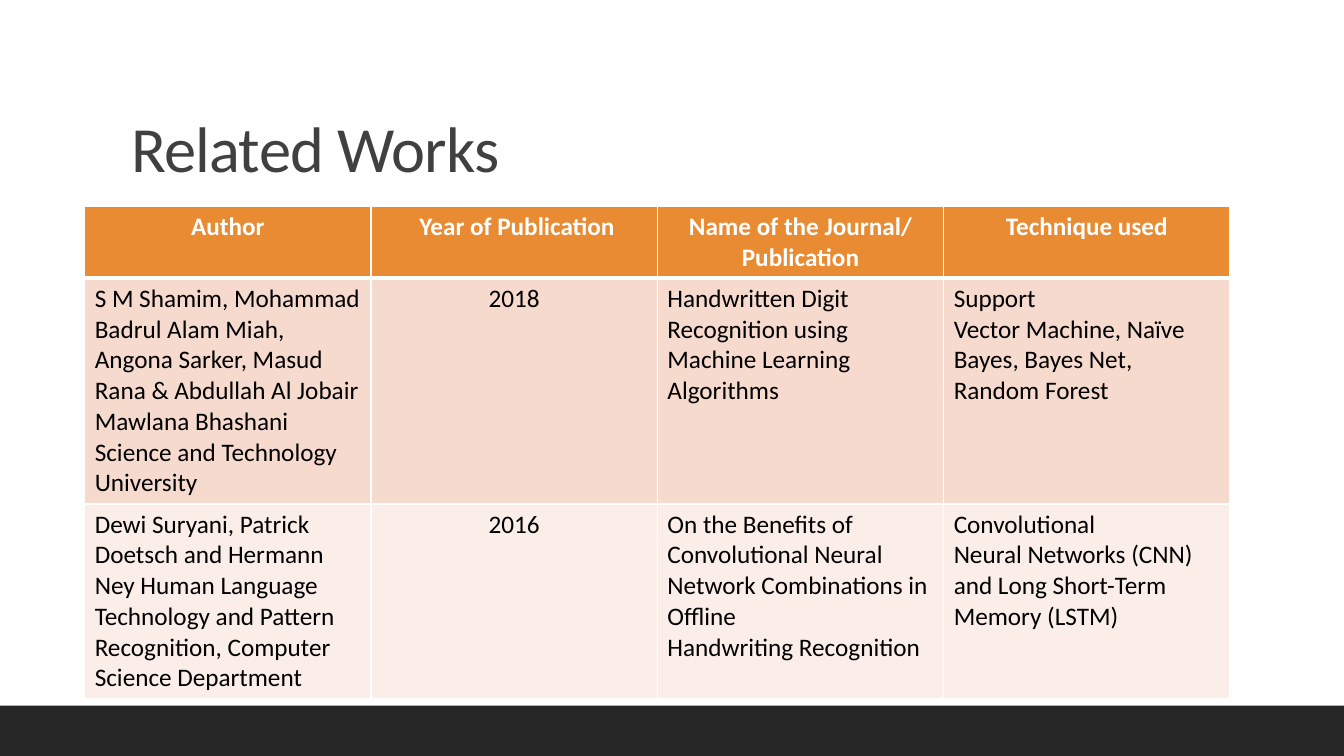
from dataclasses import dataclass

from lxml.etree import SubElement
from pptx import Presentation
from pptx.dml.color import RGBColor
from pptx.enum.shapes import MSO_SHAPE
from pptx.enum.text import MSO_ANCHOR, MSO_AUTO_SIZE, PP_ALIGN
from pptx.oxml.ns import qn
from pptx.util import Inches, Pt

FONT = "Calibri"
WHITE = "FFFFFF"


@dataclass
class TableRow:
    height: float
    fill: str
    color: str
    bold: bool
    top: int
    bottom: int
    cells: list[str]


def rgb(value: str) -> RGBColor:
    return RGBColor.from_string(value)


def add_borders(cell, top: int, bottom: int) -> None:
    """Give a cell white borders; widths are in points."""
    tc_pr = cell._tc.get_or_add_tcPr()
    for i, (side, width) in enumerate((("L", 1), ("R", 1), ("T", top), ("B", bottom))):
        ln = SubElement(tc_pr, qn(f"a:ln{side}"), w=str(Pt(width)))
        SubElement(SubElement(ln, qn("a:solidFill")), qn("a:srgbClr"), val=WHITE)
        tc_pr.insert(i, ln)


def fill_cell(cell, text: str, row: TableRow, centered: bool) -> None:
    cell.fill.solid()
    cell.fill.fore_color.rgb = rgb(row.fill)
    add_borders(cell, row.top, row.bottom)
    cell.text = text
    for p in cell.text_frame.paragraphs:
        p.alignment = PP_ALIGN.CENTER if centered else PP_ALIGN.LEFT
        p.font.name, p.font.size, p.font.bold = FONT, Pt(18), row.bold
        p.font.color.rgb = rgb(row.color)


ROWS = [
    TableRow(0.7, "E88B33", WHITE, True, 1, 3, [
        "Author", " Year of Publication", "Name of the Journal/ Publication", "Technique used"]),
    TableRow(2.24, "F6DACE", "000000", False, 3, 1, [
        "S M Shamim, Mohammad Badrul Alam Miah, Angona Sarker, Masud Rana & Abdullah Al Jobair\n"
        "Mawlana Bhashani Science and Technology University",
        "2018",
        "Handwritten Digit Recognition using Machine Learning Algorithms",
        "Support \nVector Machine, Naïve Bayes, Bayes Net, Random Forest"]),
    TableRow(1.93, "FBEEE8", "000000", False, 1, 1, [
        "Dewi Suryani, Patrick Doetsch and Hermann Ney Human Language Technology "
        "and Pattern Recognition, Computer Science Department",
        "2016",
        "On the Benefits of Convolutional Neural Network Combinations in Offline\n"
        "Handwriting Recognition",
        "Convolutional\nNeural Networks (CNN) and Long Short-Term Memory (LSTM)"]),
]
YEAR_COLUMN = 1

prs = Presentation()
prs.slide_width, prs.slide_height = Inches(13.33), Inches(7.5)
s = prs.slides.add_slide(prs.slide_layouts[5])

# Footer band
band = s.shapes.add_shape(MSO_SHAPE.RECTANGLE, 0, Inches(7), prs.slide_width, Inches(0.5))
band.shadow.inherit = False
band.fill.solid()
band.fill.fore_color.rgb = rgb("262626")
band.line.fill.background()

# Title
title = s.shapes.title
title.left, title.top = Inches(1.2), Inches(0.31)
title.width, title.height = Inches(11), Inches(1.59)
tf = title.text_frame
tf.text = "Related Works"
tf.word_wrap = True
tf.auto_size = MSO_AUTO_SIZE.NONE
tf.vertical_anchor = MSO_ANCHOR.BOTTOM
p = tf.paragraphs[0]
p.alignment, p.line_spacing = PP_ALIGN.LEFT, 0.9
p.font.name, p.font.size = FONT, Pt(46)
p.font.color.rgb = rgb("404040")
p.runs[0]._r.get_or_add_rPr().set("spc", "-50")

# Table of related works
columns = len(ROWS[0].cells)
height = sum(row.height for row in ROWS)
table = s.shapes.add_table(len(ROWS), columns, Inches(0.84), Inches(2.05),
                           Inches(2.84 * columns), Inches(height)).table
for i, row in enumerate(ROWS):
    table.rows[i].height = Inches(row.height)
    for j, text in enumerate(row.cells):
        fill_cell(table.cell(i, j), text, row, centered=i == 0 or j == YEAR_COLUMN)

prs.save("out.pptx")
